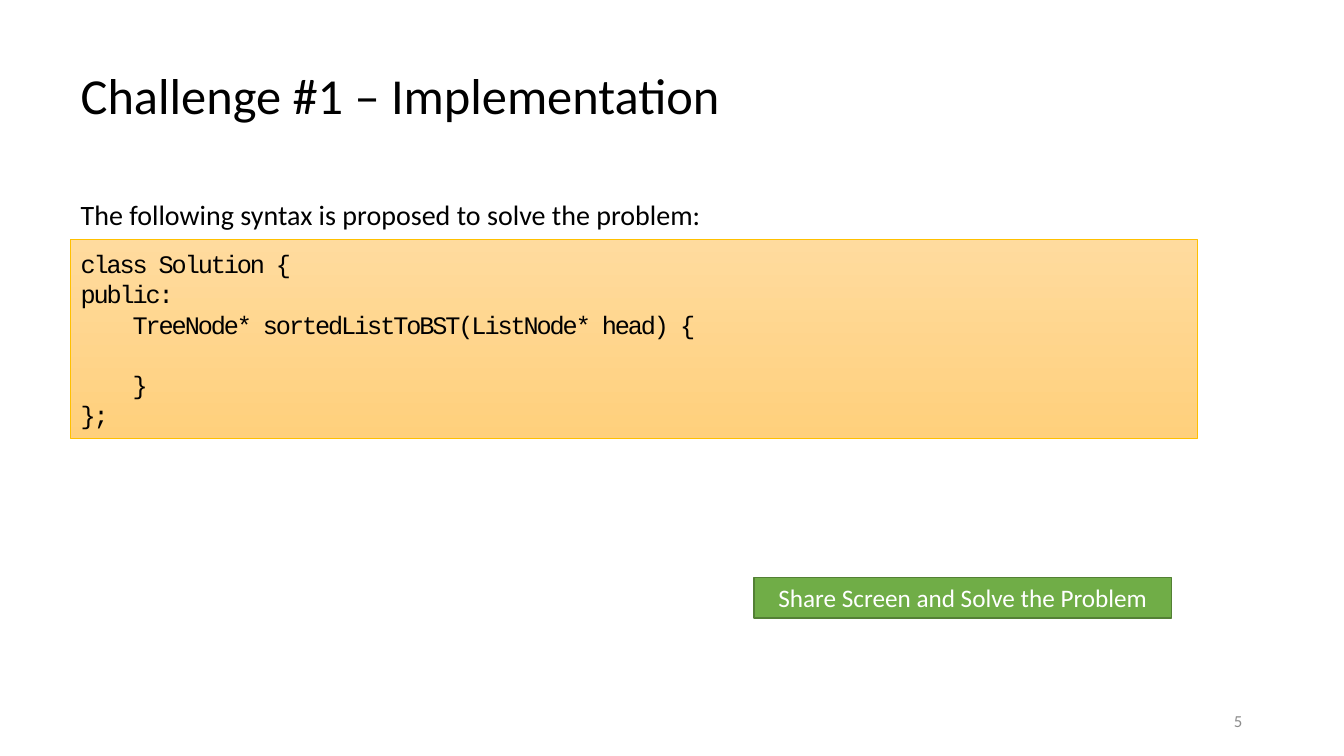
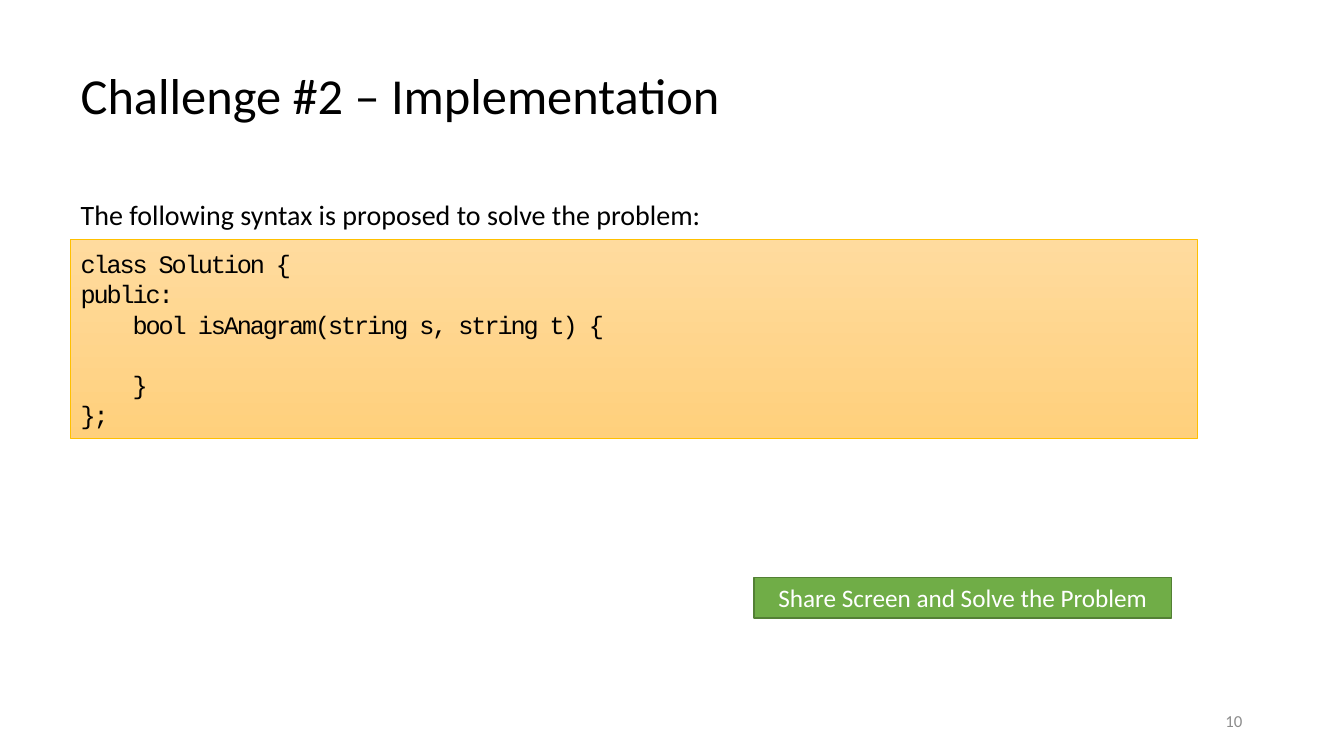
from pptx import Presentation
from pptx.dml.color import RGBColor
from pptx.enum.shapes import MSO_SHAPE
from pptx.enum.text import MSO_ANCHOR, MSO_AUTO_SIZE, PP_ALIGN
from pptx.util import Emu, Pt
from lxml.etree import SubElement
from pptx.oxml.ns import qn

PX = 9144
SANS, MONO = "Calibri", "Courier New"
BLACK, WHITE, GREY = "000000", "FFFFFF", "8C8C8C"
GREEN, DARK_GREEN = "70AD47", "538035"
GOLD, CODE_TOP, CODE_END = "FFC000", "FFDB9E", "FFD07C"

TITLE_BOX = (70, 35, 1193, 124)
BODY_BOX = (70, 195, 1193, 481)
CODE_BOX = (70, 238, 1118, 197)
CALL_BOX = (748, 573, 414, 40)
NUMBER_BOX = (942, 695, 300, 40)

INTRO = "The following syntax is proposed to solve the problem:"
CALL = "Share Screen and Solve the Problem"
CHALLENGES = [
    ("Challenge #1 – Implementation", "TreeNode* sortedListToBST(ListNode* head)", 5),
    ("Challenge #2 – Implementation", "bool isAnagram(string s, string t)", 10),
]


def rgb(color):
    return RGBColor.from_string(color)


def emu(box):
    return [Emu(v * PX) for v in box]


def place(sp, box):
    sp.left, sp.top, sp.width, sp.height = emu(box)


def setup_frame(sp, anchor):
    tf = sp.text_frame
    tf.word_wrap = True
    tf.auto_size = MSO_AUTO_SIZE.NONE
    tf.vertical_anchor = anchor
    return tf


def add_run(p, text, size, color, font=SANS, align=PP_ALIGN.LEFT):
    p.alignment = align
    r = p.add_run()
    r.text = text
    r.font.name = font
    r.font.size = Pt(size)
    r.font.color.rgb = rgb(color)
    return r


def add_rect(s, box, line, weight):
    sp = s.shapes.add_shape(MSO_SHAPE.RECTANGLE, *emu(box))
    sp.shadow.inherit = False
    sp.line.color.rgb = rgb(line)
    sp.line.width = Pt(weight)
    return sp


def fill_title(s, box, text):
    sp = s.shapes.title
    place(sp, box)
    p = setup_frame(sp, MSO_ANCHOR.MIDDLE).paragraphs[0]
    p.line_spacing = 0.9
    add_run(p, text, 36, BLACK)


def fill_body(s, box, text):
    sp = s.placeholders[1]
    place(sp, box)
    p = setup_frame(sp, MSO_ANCHOR.TOP).paragraphs[0]
    p.line_spacing = 0.9
    p.space_before = Pt(0)
    pPr = p._p.get_or_add_pPr()
    pPr.set("marL", "0")
    pPr.set("indent", "0")
    SubElement(pPr, qn("a:buNone"))
    add_run(p, text, 20, BLACK)


def add_code(s, box, lines):
    sp = add_rect(s, box, GOLD, 0.5)
    sp.fill.gradient()
    sp.fill.gradient_angle = 270
    for stop, color in zip(sp.fill.gradient_stops, (CODE_TOP, CODE_END)):
        stop.color.rgb = rgb(color)
    tf = setup_frame(sp, MSO_ANCHOR.MIDDLE)
    for i, line in enumerate(lines):
        p = tf.add_paragraph() if i else tf.paragraphs[0]
        r = add_run(p, line, 18, BLACK, MONO)
        r._r.get_or_add_rPr().set("spc", "-150")


def add_call(s, box, text):
    sp = add_rect(s, box, DARK_GREEN, 1)
    sp.fill.solid()
    sp.fill.fore_color.rgb = rgb(GREEN)
    tf = setup_frame(sp, MSO_ANCHOR.TOP)
    add_run(tf.paragraphs[0], text, 18, WHITE, align=PP_ALIGN.CENTER)


def add_number(s, box, number):
    sp = s.shapes.add_textbox(*emu(box))
    tf = setup_frame(sp, MSO_ANCHOR.MIDDLE)
    add_run(tf.paragraphs[0], str(number), 12, GREY, align=PP_ALIGN.RIGHT)


def add_challenge(prs, title, method, number):
    s = prs.slides.add_slide(prs.slide_layouts[1])
    fill_title(s, TITLE_BOX, title)
    fill_body(s, BODY_BOX, INTRO)
    add_number(s, NUMBER_BOX, number)
    add_code(s, CODE_BOX, [
        "class Solution {",
        "public:",
        f"    {method} {{",
        "        ",
        "    }",
        "};",
    ])
    add_call(s, CALL_BOX, CALL)


def main():
    prs = Presentation()
    prs.slide_width, prs.slide_height = emu((1333, 750))
    for title, method, number in CHALLENGES:
        add_challenge(prs, title, method, number)
    prs.save("out.pptx")


if __name__ == "__main__":
    main()
